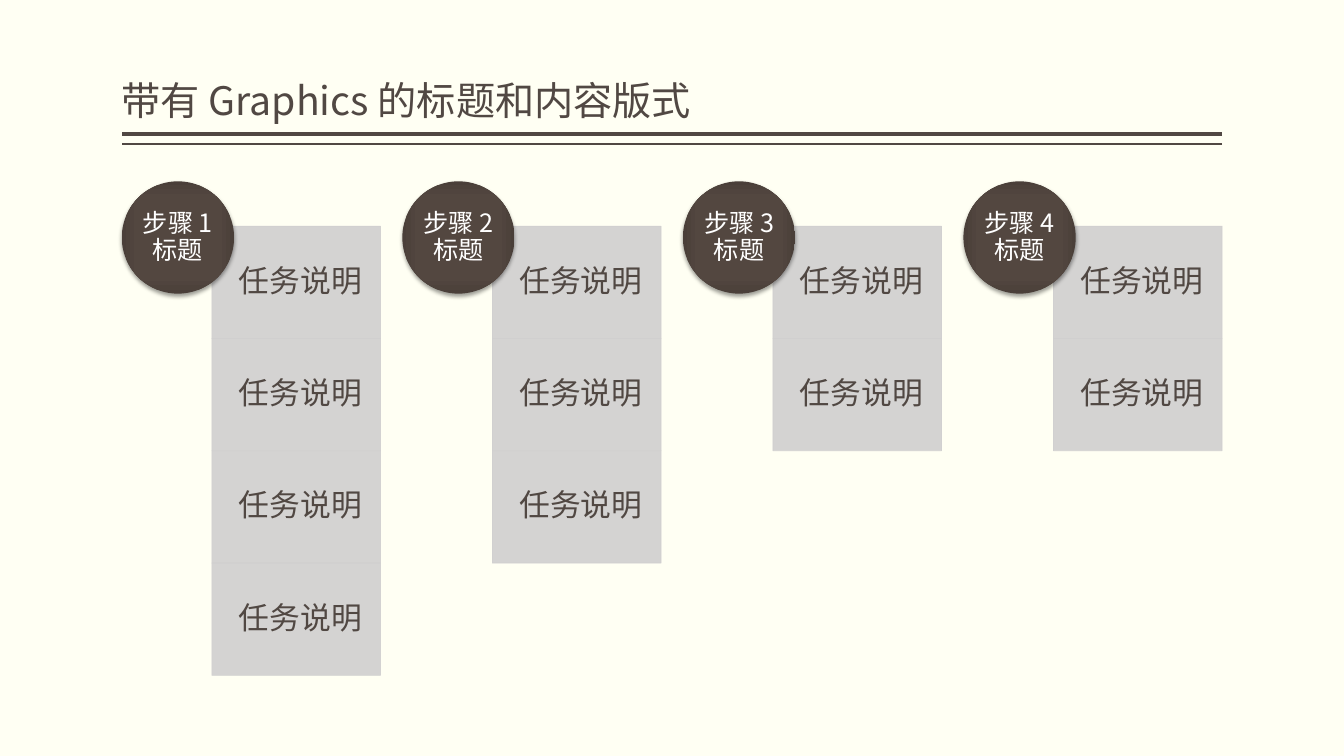
from lxml import etree
from pptx import Presentation
from pptx.dml.color import RGBColor
from pptx.enum.shapes import MSO_CONNECTOR, MSO_SHAPE
from pptx.enum.text import MSO_ANCHOR, PP_ALIGN
from pptx.oxml import parse_xml
from pptx.oxml.ns import nsdecls, qn
from pptx.util import Cm, Pt

STRAIGHT = MSO_CONNECTOR.STRAIGHT
RECTANGLE, OVAL = MSO_SHAPE.RECTANGLE, MSO_SHAPE.OVAL
MIDDLE, BOTTOM = MSO_ANCHOR.MIDDLE, MSO_ANCHOR.BOTTOM
LEFT, CENTER = PP_ALIGN.LEFT, PP_ALIGN.CENTER

IVORY = RGBColor(0xFF, 0xFF, 0xF3)
BROWN = RGBColor(0x51, 0x48, 0x43)
GREY = RGBColor(0xD0, 0xCF, 0xCF)
WHITE = RGBColor(0xFF, 0xFF, 0xFF)
DISC_STOPS = (
    (0, RGBColor(0x54, 0x47, 0x40)),
    (71, RGBColor(0x53, 0x47, 0x40)),
    (100, RGBColor(0x4A, 0x3F, 0x39)),
)

MARGIN, RIGHT_EDGE = 3.07, 30.8
DISC_TOP, TASK_TOP = 4.57, 5.7
UNIT = 2.83
COLUMN_PITCH = 7.07
TASK_OFFSET, TASK_WIDTH = 2.27, 4.25
TASK_COUNTS = (4, 3, 2, 2)


class StepSlide:
    font_name = "Noto Sans CJK SC"

    def __init__(self, slide):
        self.slide = slide
        slide.background.fill.solid()
        slide.background.fill.fore_color.rgb = IVORY

    def label(self, holder, words, size, color, anchor, align, insets):
        frame = holder.text_frame
        frame.text = words
        frame.word_wrap = True
        frame.vertical_anchor = anchor
        (frame.margin_left, frame.margin_top,
         frame.margin_right, frame.margin_bottom) = map(Cm, insets)
        paragraph = frame.paragraphs[0]
        paragraph.alignment = align
        paragraph.line_spacing = 0.9
        font = paragraph.runs[0].font
        font.size = Pt(size)
        font.name = self.font_name
        font.color.rgb = color
        etree.SubElement(font._element, qn("a:ea"), typeface=self.font_name)

    def title(self, words):
        heading = self.slide.shapes.add_textbox(
            Cm(MARGIN), Cm(0.2), Cm(RIGHT_EDGE - MARGIN), Cm(3.05))
        self.label(heading, words, 28, BROWN, BOTTOM, LEFT, (0, 0.13, 0, 0.13))

    def rule(self, y, width):
        rule = self.slide.shapes.add_connector(
            STRAIGHT, Cm(RIGHT_EDGE), Cm(y), Cm(MARGIN), Cm(y))
        rule.line.color.rgb = BROWN
        rule.line.width = Pt(width)
        etree.SubElement(rule._element.spPr, qn("a:effectLst"))

    def task(self, x, y, words):
        task = self.slide.shapes.add_shape(
            RECTANGLE, Cm(x), Cm(y), Cm(TASK_WIDTH), Cm(UNIT))
        task.shadow.inherit = False
        task.fill.solid()
        task.fill.fore_color.rgb = GREY
        task.line.color.rgb = GREY
        task.line.width = Pt(0.5)
        for color in task._element.spPr.iter(qn("a:srgbClr")):
            etree.SubElement(color, qn("a:alpha"), val="90000")
        self.label(task, words, 22, BROWN, MIDDLE, LEFT, (0.68, 0.43, 0.43, 0.43))

    def disc(self, x, y, words):
        disc = self.slide.shapes.add_shape(OVAL, Cm(x), Cm(y), Cm(UNIT), Cm(UNIT))
        disc.shadow.inherit = False
        disc.fill.background()
        disc.line.fill.background()
        properties = disc._element.spPr
        stops = "".join(
            f'<a:gs pos="{position * 1000}"><a:srgbClr val="{color}"/></a:gs>'
            for position, color in DISC_STOPS)
        properties.replace(properties.find(qn("a:noFill")), parse_xml(
            f'<a:gradFill {nsdecls("a")} rotWithShape="1"><a:gsLst>{stops}</a:gsLst>'
            '<a:path path="rect"><a:fillToRect l="50000" t="50000" r="50000" b="50000"/>'
            '</a:path></a:gradFill>'))
        properties.find(qn("a:effectLst")).append(parse_xml(
            f'<a:outerShdw {nsdecls("a")} blurRad="{Pt(3.1)}" dist="{Pt(2)}" dir="5400000" '
            'rotWithShape="0"><a:srgbClr val="000000"><a:alpha val="38000"/></a:srgbClr>'
            '</a:outerShdw>'))
        self.label(disc, words, 18, WHITE, MIDDLE, CENTER, (0, 0, 0, 0))


def main():
    deck = Presentation()
    deck.slide_width, deck.slide_height = Cm(33.87), Cm(19.05)
    steps = StepSlide(deck.slides.add_slide(deck.slide_layouts[6]))
    steps.rule(3.38, 3)
    steps.rule(3.63, 1)
    steps.title("带有 Graphics 的标题和内容版式")
    for column, task_count in enumerate(TASK_COUNTS):
        x = MARGIN + column * COLUMN_PITCH
        for row in range(task_count):
            steps.task(x + TASK_OFFSET, TASK_TOP + row * UNIT, "任务说明")
        steps.disc(x, DISC_TOP, f"步骤 {column + 1} 标题")
    deck.save("out.pptx")


if __name__ == "__main__":
    main()
